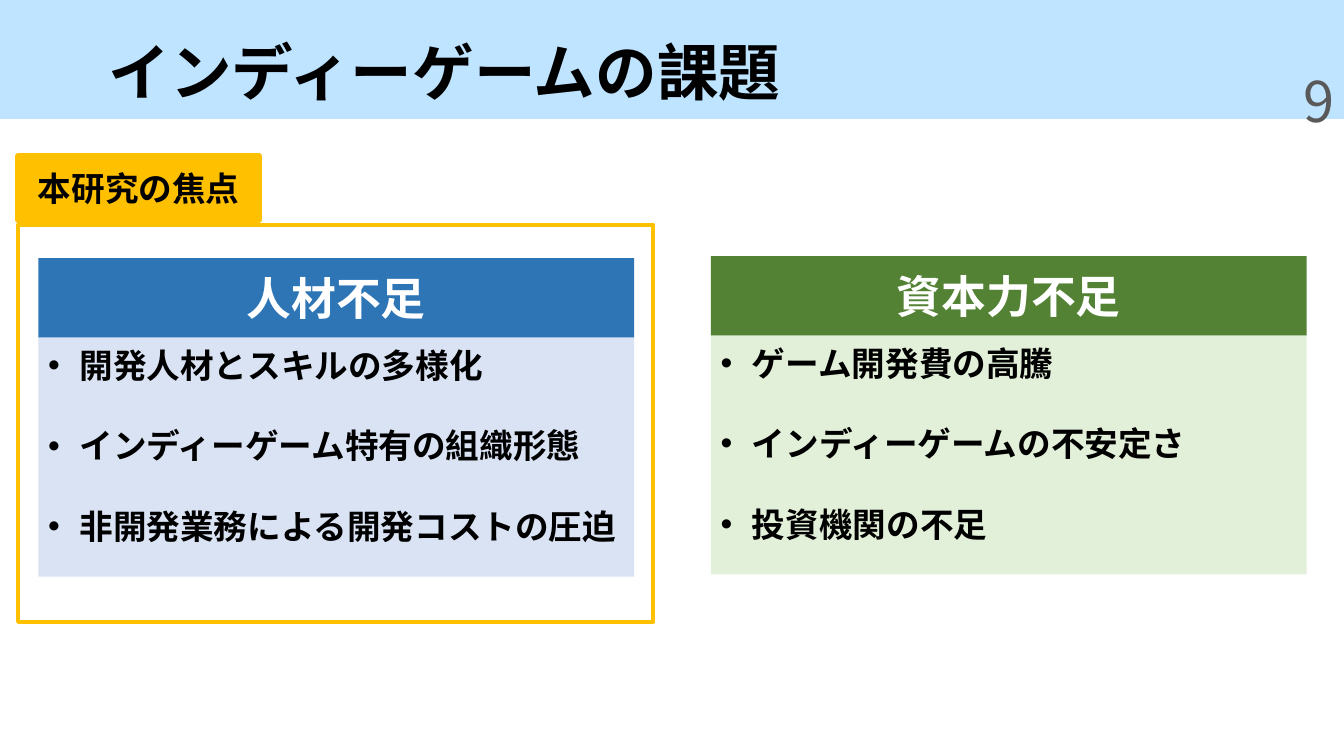
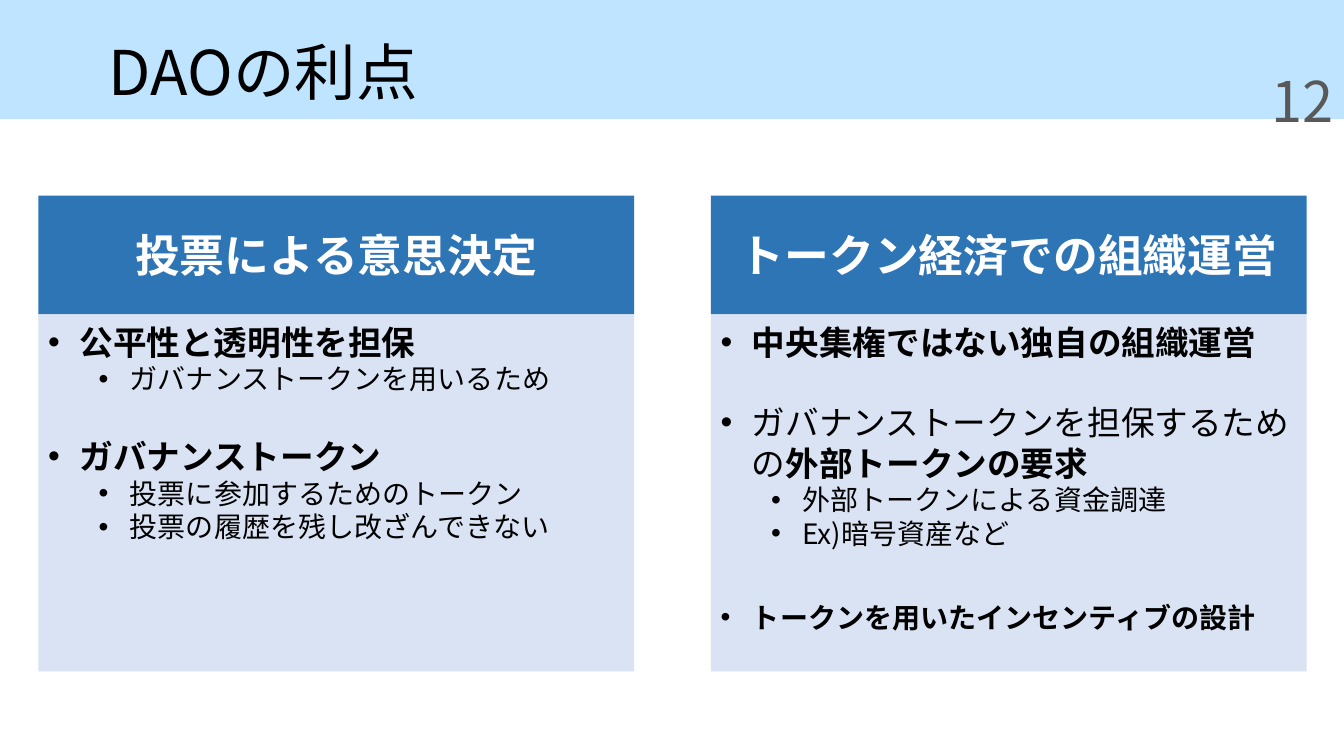
"""Build two slides on the challenges of indie games and the benefits of a DAO."""
from dataclasses import dataclass

from lxml.etree import SubElement
from pptx import Presentation
from pptx.dml.color import RGBColor
from pptx.enum.shapes import MSO_SHAPE
from pptx.enum.text import MSO_ANCHOR, PP_ALIGN
from pptx.oxml.ns import qn
from pptx.presentation import Presentation as Deck
from pptx.shapes.autoshape import Shape
from pptx.slide import Slide
from pptx.text.text import TextFrame, _Paragraph
from pptx.util import Inches, Pt

FONT = "Noto Sans CJK JP"
LABEL_FONT = "Karla"
BLACK = RGBColor(0x00, 0x00, 0x00)
WHITE = RGBColor(0xFF, 0xFF, 0xFF)
GREY = RGBColor(0x59, 0x59, 0x59)
SKY = RGBColor(0xBF, 0xE4, 0xFF)
BLUE = RGBColor(0x2E, 0x75, 0xB6)
PALE_BLUE = RGBColor(0xDA, 0xE3, 0xF3)
GREEN = RGBColor(0x54, 0x82, 0x35)
PALE_GREEN = RGBColor(0xE2, 0xF0, 0xD9)
GOLD = RGBColor(0xFF, 0xC0, 0x00)

SLIDE_WIDTH = 13.33
PANEL_WIDTH = 5.91
LEFT_PANEL = 0.38
RIGHT_PANEL = 7.05
HANGING = 0.31
LEVEL_STEP = 0.5
LINE_FACTOR = 1.2
GAP = 28.8


@dataclass(frozen=True)
class Bullet:
    """One list entry, with an optional bold ending and a gap above in points."""

    text: str
    bold: bool = True
    size: int = 24
    level: int = 0
    gap: float = 0
    bold_ending: str = ""


@dataclass(frozen=True)
class Panel:
    """A heading bar above a tinted list area."""

    left: float
    top: float
    header_height: float
    heading: str
    bullets: tuple[Bullet, ...]
    color: RGBColor = BLUE
    tint: RGBColor = PALE_BLUE


def detail(text: str) -> Bullet:
    """Return a second-level bullet."""
    return Bullet(text, bold=False, size=20, level=1)


def add_run(paragraph: _Paragraph, text: str, *, size: float, bold: bool = False,
            color: RGBColor = BLACK, font: str = FONT) -> None:
    """Append formatted text to a paragraph."""
    run = paragraph.add_run()
    run.text = text
    run.font.size = Pt(size)
    run.font.bold = bold
    run.font.name = font
    run.font.color.rgb = color
    SubElement(run.font._element, qn("a:ea")).set("typeface", FONT)


def write_line(frame: TextFrame, text: str, *, size: float, bold: bool = False,
               color: RGBColor = BLACK, font: str = FONT,
               align: PP_ALIGN = PP_ALIGN.LEFT, spacing: float = 1.0) -> None:
    """Fill a frame with one vertically centred line."""
    frame.word_wrap = True
    frame.vertical_anchor = MSO_ANCHOR.MIDDLE
    paragraph = frame.paragraphs[0]
    paragraph.alignment = align
    paragraph.line_spacing = spacing
    add_run(paragraph, text, size=size, bold=bold, color=color, font=font)


def add_text_box(slide: Slide, left: float, top: float, width: float, height: float) -> TextFrame:
    """Add a text box and return its frame."""
    box = slide.shapes.add_textbox(Inches(left), Inches(top), Inches(width), Inches(height))
    return box.text_frame


def add_rectangle(slide: Slide, left: float, top: float, width: float, height: float, *,
                  fill: RGBColor | None = None, line: RGBColor | None = None,
                  line_width: float = 0) -> Shape:
    """Add a flat rectangle with an optional fill and outline."""
    shape = slide.shapes.add_shape(
        MSO_SHAPE.RECTANGLE, Inches(left), Inches(top), Inches(width), Inches(height))
    shape.shadow.inherit = False
    if fill is None:
        shape.fill.background()
    else:
        shape.fill.solid()
        shape.fill.fore_color.rgb = fill
    if line is None:
        shape.line.fill.background()
    else:
        shape.line.color.rgb = line
        shape.line.width = Pt(line_width)
    return shape


def write_bullets(frame: TextFrame, bullets: tuple[Bullet, ...]) -> None:
    """Write a bulleted list into a frame."""
    frame.word_wrap = True
    for index, bullet in enumerate(bullets):
        paragraph = frame.add_paragraph() if index else frame.paragraphs[0]
        paragraph.level = bullet.level
        paragraph.line_spacing = Pt(bullet.size * LINE_FACTOR)
        paragraph.space_before = Pt(bullet.gap)
        properties = paragraph._p.get_or_add_pPr()
        properties.set("marL", str(Inches(HANGING + LEVEL_STEP * bullet.level)))
        properties.set("indent", str(-Inches(HANGING)))
        SubElement(properties, qn("a:buFont")).set("typeface", "Arial")
        SubElement(properties, qn("a:buChar")).set("char", "•")
        add_run(paragraph, bullet.text, size=bullet.size, bold=bullet.bold)
        if bullet.bold_ending:
            add_run(paragraph, bullet.bold_ending, size=bullet.size, bold=True)


def add_panel(slide: Slide, panel: Panel) -> None:
    """Draw a panel whose list area is three times as high as its heading."""
    header = add_rectangle(slide, panel.left, panel.top, PANEL_WIDTH, panel.header_height,
                           fill=panel.color)
    write_line(header.text_frame, panel.heading, size=32, bold=True, color=WHITE,
               align=PP_ALIGN.CENTER)
    body_top = panel.top + panel.header_height
    body_height = 3 * panel.header_height
    add_rectangle(slide, panel.left, body_top, PANEL_WIDTH, body_height, fill=panel.tint)
    write_bullets(add_text_box(slide, panel.left, body_top + 0.02, PANEL_WIDTH, body_height),
                  panel.bullets)


def add_page(presentation: Deck, title: str, number: int, panels: tuple[Panel, ...], *,
             bold_title: bool = False) -> Slide:
    """Add a slide with the shared band, title, page number and panels."""
    slide = presentation.slides.add_slide(presentation.slide_layouts[6])
    add_rectangle(slide, 0, 0, SLIDE_WIDTH, 1.18, fill=SKY)
    write_line(add_text_box(slide, 0.98, 0.02, 11.5, 1.45), title, size=44,
               bold=bold_title, spacing=0.9)
    write_line(add_text_box(slide, 10.33, 0.41, 3, 1.16), str(number), size=40,
               color=GREY, align=PP_ALIGN.RIGHT)
    for panel in panels:
        add_panel(slide, panel)
    return slide


def add_focus_frame(slide: Slide) -> None:
    """Outline the left panel and label it as the focus."""
    add_rectangle(slide, 0.18, 2.23, 6.3, 3.94, line=GOLD, line_width=3)
    label = add_rectangle(slide, 0.18, 1.55, 2.39, 0.63, fill=GOLD, line=GOLD, line_width=4.5)
    write_line(label.text_frame, "本研究の焦点", size=24, bold=True, font=LABEL_FONT,
               align=PP_ALIGN.CENTER)


CHALLENGES = (
    Panel(LEFT_PANEL, 2.56, 0.79, "人材不足", (
        Bullet("開発人材とスキルの多様化"),
        Bullet("インディーゲーム特有の組織形態", gap=GAP),
        Bullet("非開発業務による開発コストの圧迫", gap=GAP),
    )),
    Panel(RIGHT_PANEL, 2.54, 0.79, "資本力不足", (
        Bullet("ゲーム開発費の高騰"),
        Bullet("インディーゲームの不安定さ", gap=GAP),
        Bullet("投資機関の不足", gap=GAP),
    ), GREEN, PALE_GREEN),
)

BENEFITS = (
    Panel(LEFT_PANEL, 1.94, 1.18, "投票による意思決定", (
        Bullet("公平性と透明性を担保"),
        detail("ガバナンストークンを用いるため"),
        Bullet("ガバナンストークン", gap=GAP),
        detail("投票に参加するためのトークン"),
        detail("投票の履歴を残し改ざんできない"),
    )),
    Panel(RIGHT_PANEL, 1.94, 1.18, "トークン経済での組織運営", (
        Bullet("中央集権ではない独自の組織運営"),
        Bullet("ガバナンストークンを担保するための", bold=False, gap=GAP,
               bold_ending="外部トークンの要求"),
        detail("外部トークンによる資金調達"),
        detail("Ex)暗号資産など"),
        Bullet("トークンを用いたインセンティブの設計", size=20, gap=36),
    )),
)


def main() -> None:
    """Build and save the presentation."""
    presentation = Presentation()
    presentation.slide_width = Inches(SLIDE_WIDTH)
    presentation.slide_height = Inches(7.5)
    challenges = add_page(presentation, "インディーゲームの課題", 9, CHALLENGES, bold_title=True)
    add_focus_frame(challenges)
    add_page(presentation, "DAOの利点", 12, BENEFITS)
    presentation.save("out.pptx")


if __name__ == "__main__":
    main()
